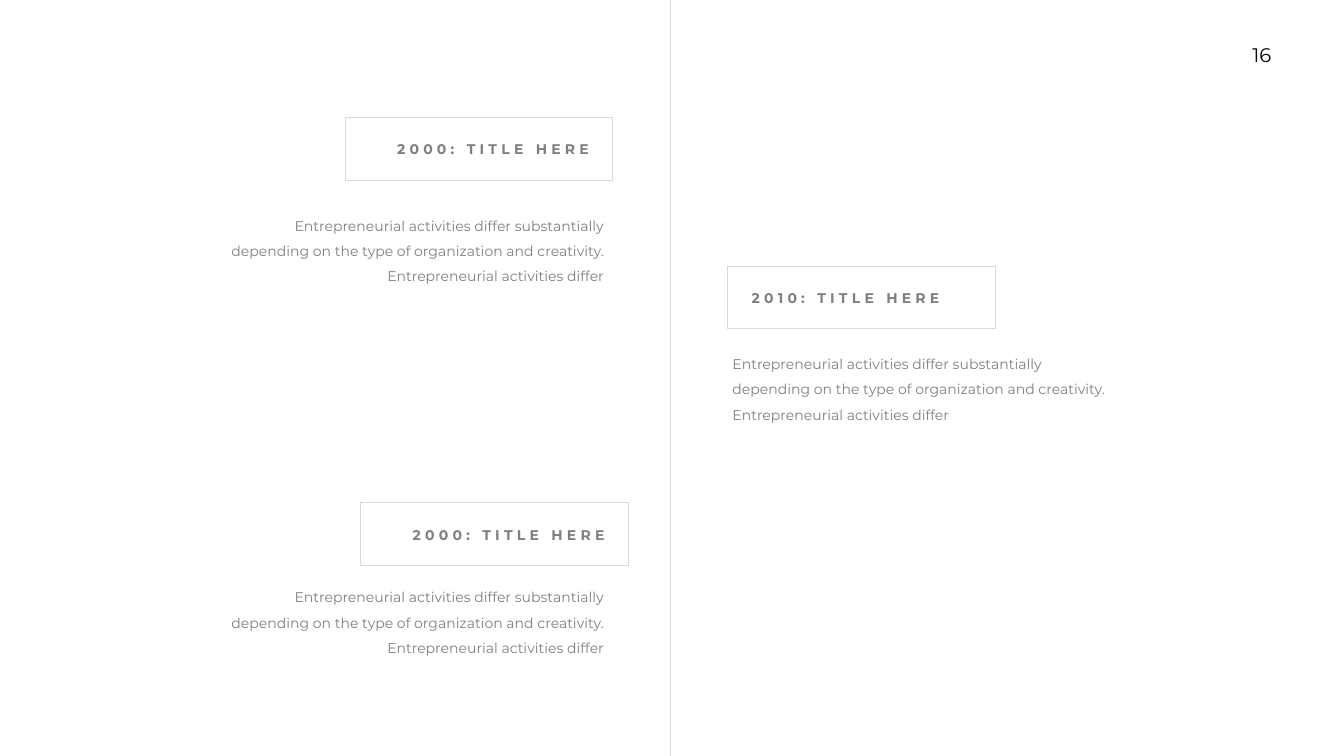
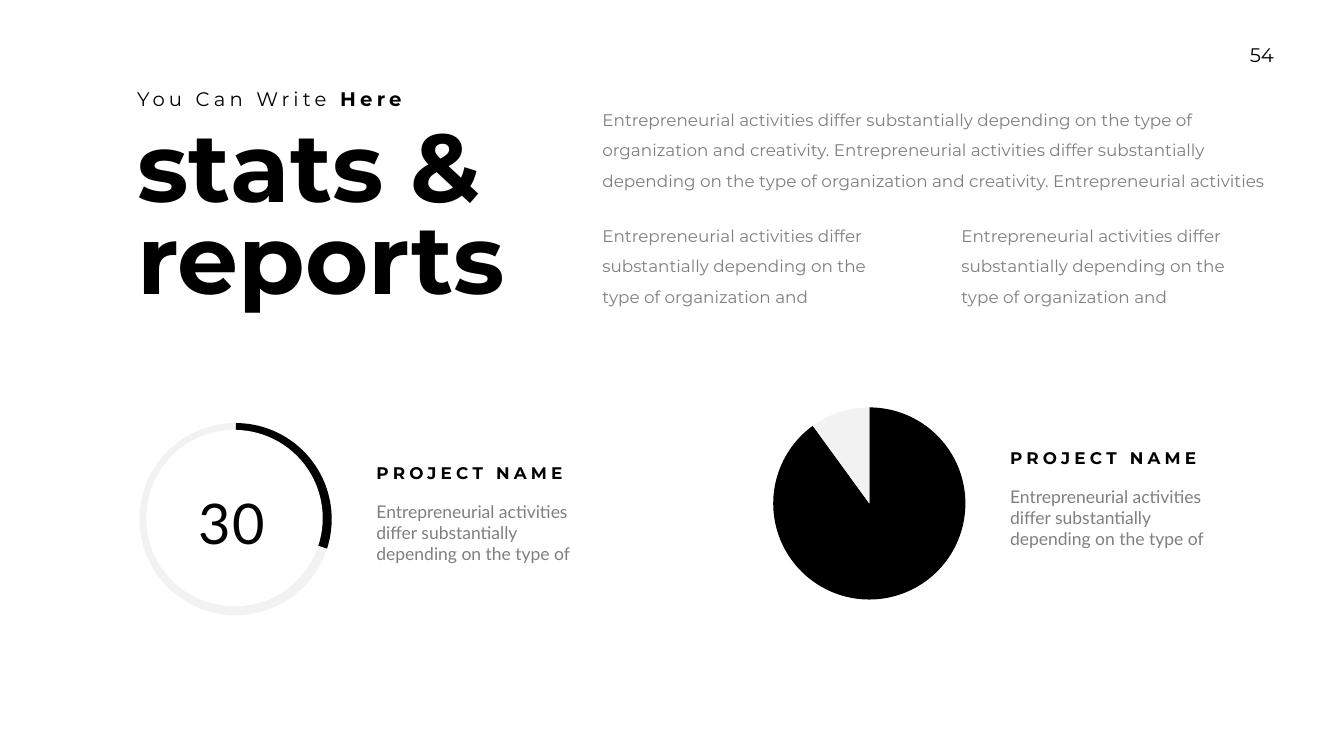
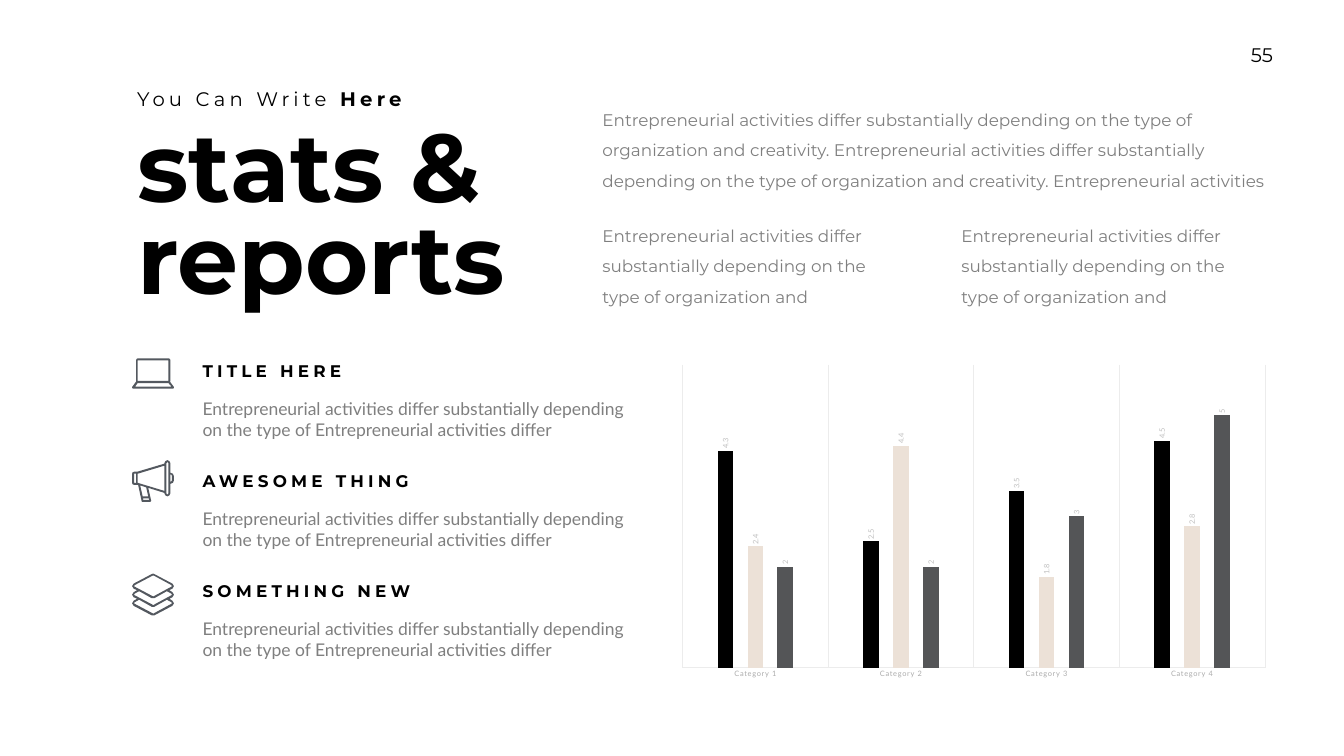
from lxml.etree import SubElement
from pptx import Presentation
from pptx.chart.data import CategoryChartData
from pptx.dml.color import RGBColor
from pptx.enum.chart import XL_CHART_TYPE, XL_LABEL_POSITION, XL_TICK_MARK
from pptx.enum.shapes import MSO_CONNECTOR, MSO_SHAPE
from pptx.enum.text import MSO_ANCHOR, MSO_AUTO_SIZE, PP_ALIGN
from pptx.oxml.ns import qn
from pptx.util import Inches, Pt

WIDTH, HEIGHT = Inches(26.66), Inches(15)
COL, ROW = WIDTH / 100, HEIGHT / 100  # the grid: 100 columns by 100 rows

BLACK, WHITE, GREY = "000000", "FFFFFF", "7F7F7F"
RULE, PALE, INK = "D9D9D9", "F2F2F2", "53585F"
GRID, TICK, VALUE = "ECECEC", "ACACAC", "BFBFBF"
BARS = ("000000", "ECE1D7", "545557")
HEAD, BODY = "Montserrat", "Lato"
LEFT, EDGE = 9.83, 44.45  # left edges of the heading and of the copy

START = "Entrepreneurial activities differ"
PHRASE = f"{START} substantially depending on the type of"
FULL = f"{PHRASE} organization and creativity."
NOTE = f"{FULL} {START}"
INTRO = f"{FULL} {FULL} Entrepreneurial activities"
ASIDE = f"{PHRASE} organization and"

# Outlines of the icons, in hundredths of an inch
LAPTOP = [
    [(6, 56), (11, 49), (72, 49), (78, 56)],
    [(11, 4), (72, 4), (72, 45), (11, 45)],
    [(83, 57), (75, 46), (76, 45), (76, 4), (75, 1), (72, 0), (11, 0), (9, 1),
     (8, 4), (8, 45), (8, 46), (0, 57), (0, 59), (2, 60), (81, 60), (83, 59)],
]
HORN = [
    [(79, 40), (78, 42), (76, 43), (76, 28), (78, 29), (79, 32)],
    [(72, 66), (71, 68), (70, 68), (68, 66), (68, 6), (70, 4), (71, 4), (72, 6)],
    [(64, 61), (11, 45), (11, 27), (64, 11)],
    [(32, 72), (21, 72), (16, 50), (28, 54)],
    [(34, 79), (22, 79), (22, 76), (33, 76)],
    [(8, 45), (4, 45), (4, 27), (8, 27)],
    [(76, 25), (76, 6), (74, 2), (70, 0), (66, 2), (64, 6), (64, 7), (10, 23),
     (4, 23), (1, 24), (0, 27), (0, 45), (1, 48), (4, 49), (12, 49), (19, 82),
     (21, 83), (36, 83), (38, 81), (32, 55), (64, 65), (64, 66), (66, 70),
     (70, 72), (74, 70), (76, 66), (76, 47), (81, 45), (83, 40), (83, 32),
     (81, 27)],
]
BAND = [(78, 43), (43, 62), (42, 63), (41, 62), (5, 43), (4, 42), (5, 40),
        (14, 35), (39, 49), (42, 49), (44, 49), (69, 35), (78, 40), (79, 42)]
LAYERS = [
    BAND,
    [(x, y + 17) for x, y in BAND],
    [(5, 26), (4, 25), (5, 23), (41, 4), (42, 4), (43, 4), (78, 23), (79, 25),
     (78, 26), (43, 45), (42, 46), (41, 45)],
    [(83, 42), (80, 37), (74, 33), (80, 30), (83, 25), (80, 20), (44, 1),
     (42, 0), (39, 1), (3, 20), (0, 25), (3, 30), (10, 33), (3, 37), (0, 42),
     (3, 47), (10, 50), (3, 54), (0, 59), (3, 64), (39, 83), (42, 83), (44, 83),
     (80, 64), (83, 59), (80, 54), (74, 50), (80, 47)],
]


def color(code):
    return RGBColor.from_string(code)


def cells(x, y, w, h):
    """Turn grid columns and rows into slide lengths."""
    return [round(n) for n in (x * COL, y * ROW, w * COL, h * ROW)]


def paint(shape, fill, line=None):
    shape.fill.solid()
    shape.fill.fore_color.rgb = color(fill)
    if line:
        shape.line.color.rgb = color(line)
        shape.line.width = Pt(1)
    else:
        shape.line.fill.background()


def style(font, size, ink, face, bold=False):
    font.size, font.bold, font.name = Pt(size), bold, face
    font.color.rgb = color(ink)


def track(run, gap):
    """Set the letter spacing of a run, in points."""
    run._r.get_or_add_rPr().set("spc", str(gap * 100))


def write(slide, box, words, size, ink=GREY, face=HEAD, bold=False, gap=0,
          align=PP_ALIGN.LEFT, lead=None, wrap=True):
    area = slide.shapes.add_textbox(*cells(*box))
    frame = area.text_frame
    frame.text = words
    frame.word_wrap = wrap
    para = frame.paragraphs[0]
    para.alignment = align
    if lead:
        para.line_spacing = lead
    run = para.runs[0]
    style(run.font, size, ink, face, bold)
    if gap:
        track(run, gap)
    return area


def label(slide, box, words):
    write(slide, box, words, 24, BLACK, bold=True, gap=6, wrap=False)


def number(slide, words):
    write(slide, (91.79, 5.07, 4.2, 4.47), words, 28, BLACK,
          align=PP_ALIGN.CENTER, wrap=False).text_frame.margin_top = Inches(0.1)


def heading(slide):
    kicker = write(slide, (LEFT, 11.13, 25.39, 3.8), "You Can Write ", 28,
                   BLACK, gap=6)
    run = kicker.text_frame.paragraphs[0].add_run()
    run.text = "Here"
    style(run.font, 28, BLACK, HEAD, True)
    track(run, 6)

    title = slide.shapes.title
    title.left, title.top, title.width, title.height = cells(
        LEFT, 16.93, 34.62, 25.2)
    frame = title.text_frame
    frame.text = "stats &\nreports"
    frame.auto_size = MSO_AUTO_SIZE.NONE
    frame.vertical_anchor = MSO_ANCHOR.TOP
    for para in frame.paragraphs:
        para.alignment = PP_ALIGN.LEFT
        para.line_spacing = Pt(130.6)
        style(para.runs[0].font, 138, BLACK, HEAD, True)

    write(slide, (EDGE, 12.87, 50.53, 12.8), INTRO, 24, lead=1.5)
    for i in range(2):
        write(slide, (EDGE + i * 26.71, 28.2, 21.72, 12.8), ASIDE, 24, lead=1.5)


def event(slide, x, y, words, spot, align):
    """Draw a framed date at x, y and its note at spot."""
    frame = slide.shapes.add_shape(MSO_SHAPE.RECTANGLE,
                                   *cells(x, y, 19.92, 8.27))
    frame.shadow.inherit = False
    paint(frame, WHITE, RULE)
    date = write(slide, (x + 1.43, y + 1.67, 17.1, 4.07), words, 20, bold=True,
                 gap=6, align=align, lead=1.5)
    paint(date, WHITE)
    write(slide, (*spot, 28.96, 10.8), NOTE, 20, align=align, lead=1.5)


def plot_box(chart, x, y, w, h):
    """Fix the inner plot area, as shares of the chart."""
    area = chart._chartSpace.chart.plotArea
    layout = area.find(qn("c:layout"))
    if layout is None:
        layout = SubElement(area, qn("c:layout"))
        area.insert(0, layout)
    manual = SubElement(layout, qn("c:manualLayout"))
    for tag, value in (("layoutTarget", "inner"), ("xMode", "edge"),
                       ("yMode", "edge"), ("x", x), ("y", y), ("w", w),
                       ("h", h)):
        SubElement(manual, qn(f"c:{tag}")).set("val", str(value))


def graph(slide, kind, box, names, rows):
    data = CategoryChartData()
    data.categories = names
    for i, row in enumerate(rows, 1):
        data.add_series(f"Series {i}", row)
    chart = slide.shapes.add_chart(kind, *cells(*box), data).chart
    chart.has_legend = chart.has_title = False
    style(chart.font, 10, GREY, BODY)
    chart.plots[0].vary_by_categories = False
    return chart


def project(slide, x, y, share, ring=False):
    chart = graph(slide, XL_CHART_TYPE.PIE, (x, y, 18.6, 27.33), ("1", "2"),
                  [(share, 100 - share)])
    plot_box(chart, 0.12, 0.04, 0.77, 0.93)
    for i, ink in enumerate((BLACK, PALE)):
        paint(chart.series[0].points[i].format, ink)
    if ring:
        disc = slide.shapes.add_shape(MSO_SHAPE.OVAL,
                                      *cells(x + 2.74, y + 2, 13.13, 23.33))
        disc.shadow.inherit = False
        paint(disc, WHITE)
        write(slide, (x + 3.26, y + 9.4, 11.67, 9.67), str(share), 80, BLACK,
              BODY, gap=3, align=PP_ALIGN.CENTER)
    label(slide, (x + 19.5, y + 6.07, 14.78, 3.33), "PROJECT NAME")
    write(slide, (x + 19.5, y + 11.13, 16.58, 9.07), PHRASE, 25, face=BODY)


def columns(slide, box):
    chart = graph(slide, XL_CHART_TYPE.COLUMN_CLUSTERED, box,
                  [f"Category {i}" for i in range(1, 5)],
                  [(4.3, 2.5, 3.5, 4.5), (2.4, 4.4, 1.8, 2.8), (2, 2, 3, 5)])
    plot_box(chart, 0.02, 0.02, 0.96, 0.93)
    plot = chart.plots[0]
    plot.gap_width, plot.overlap = 444, -90
    for series, ink in zip(plot.series, BARS):
        paint(series.format, ink)
        series.invert_if_negative = False
        labels = series.data_labels
        labels.show_value = True
        labels.position = XL_LABEL_POSITION.OUTSIDE_END
        style(labels.font, 10.6, VALUE, BODY)
        turn = labels._element.find(f".//{qn('a:bodyPr')}")
        turn.set("rot", "-5400000")
        turn.set("vert", "horz")

    scale = chart.value_axis
    scale.minimum_scale, scale.maximum_scale = 0, 6
    scale.has_major_gridlines = scale.visible = False
    axis = chart.category_axis
    axis.major_tick_mark = axis.minor_tick_mark = XL_TICK_MARK.NONE
    axis.has_major_gridlines = True
    for line in (axis.format.line, axis.major_gridlines.format.line):
        line.color.rgb = color(GRID)
        line.width = Pt(0.75)
    style(axis.tick_labels.font, 10.6, TICK, BODY)
    axis._element.find(f".//{qn('a:defRPr')}").set("spc", "100")


def icon(slide, x, y, loops):
    first, *rest = loops
    pen = slide.shapes.build_freeform(*first[0], scale=Inches(0.01))
    pen.add_line_segments(first[1:], close=True)
    for loop in rest:
        pen.move_to(*loop[0])
        pen.add_line_segments(loop[1:], close=True)
    left, top, _, _ = cells(x, y, 0, 0)
    shape = pen.convert_to_shape(left, top)
    shape.shadow.inherit = False
    paint(shape, INK)


def item(slide, x, y, words, loops, lift):
    """Draw a titled point with an icon raised by lift rows."""
    icon(slide, x, y - lift, loops)
    label(slide, (x + 4.87, y, 16.28, 3.33), words)
    write(slide, (x + 4.87, y + 4.87, 32.18, 6.27), f"{PHRASE} {START}", 25,
          face=BODY)


def timeline(slide):
    number(slide, "16")
    middle = round(49.85 * COL)
    line = slide.shapes.add_connector(MSO_CONNECTOR.STRAIGHT, middle, 0,
                                      middle, HEIGHT)
    line.line.color.rgb = color(RULE)
    line.line.width = Pt(0.5)
    SubElement(line._element.spPr, qn("a:effectLst"))
    event(slide, 25.66, 15.53, "2000: TITLE HERE", (16.35, 27.33),
          PP_ALIGN.RIGHT)
    event(slide, 54.13, 35.2, "2010: TITLE HERE", (54.13, 45.6), PP_ALIGN.LEFT)
    event(slide, 26.82, 66.47, "2000: TITLE HERE", (16.35, 76.47),
          PP_ALIGN.RIGHT)


def shares(slide):
    number(slide, "54")
    heading(slide)
    project(slide, 55.29, 52.8, 90)
    project(slide, 8.14, 54.87, 30, ring=True)


def report(slide):
    number(slide, "55")
    heading(slide)
    columns(slide, (49.89, 47.4, 45.12, 43.07))
    items = (("TITLE HERE", LAPTOP, 0), ("AWESOME THING", HORN, 1.1),
             ("SOMETHING NEW", LAYERS, 0.67))
    for i, (words, loops, lift) in enumerate(items):
        item(slide, LEFT, 47.4 + i * 14.57, words, loops, lift)


def main():
    deck = Presentation()
    deck.slide_width, deck.slide_height = WIDTH, HEIGHT
    only, blank = deck.slide_layouts[5], deck.slide_layouts[6]
    for build, layout in ((timeline, blank), (shares, only), (report, only)):
        build(deck.slides.add_slide(layout))
    deck.save("out.pptx")


if __name__ == "__main__":
    main()
